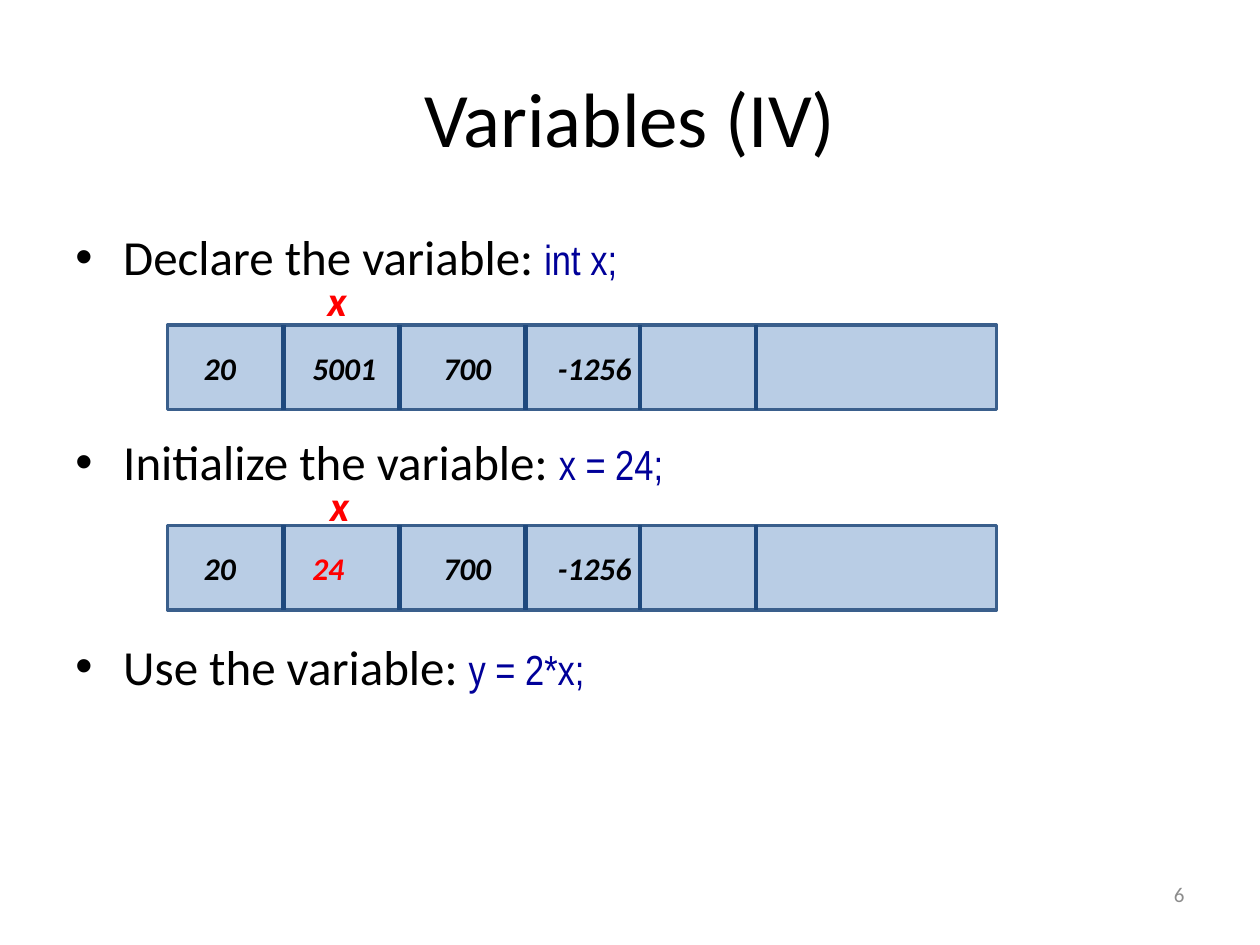
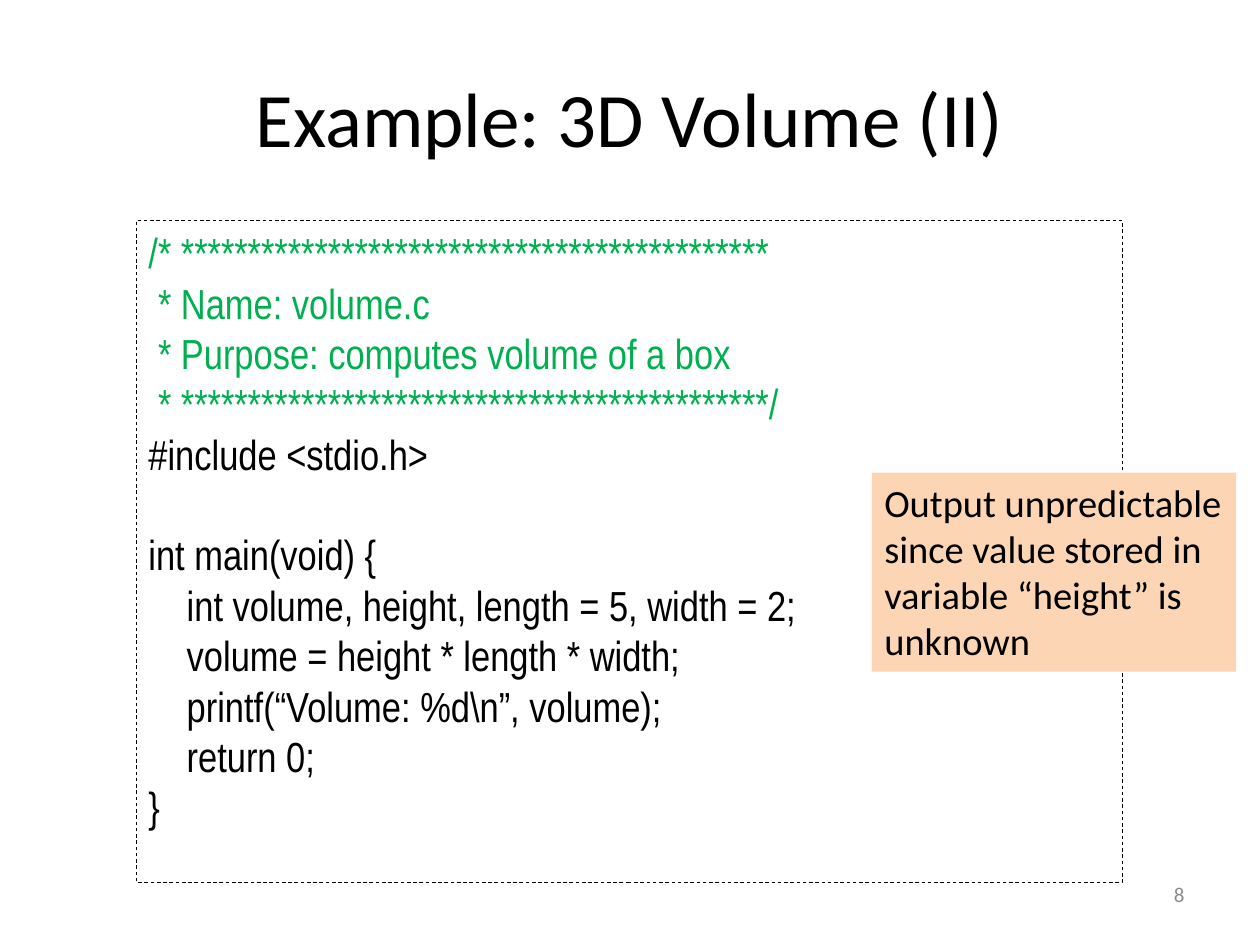
from lxml import etree
from pptx import Presentation
from pptx.dml.color import RGBColor
from pptx.enum.dml import MSO_LINE
from pptx.enum.shapes import MSO_CONNECTOR, MSO_SHAPE
from pptx.enum.text import MSO_ANCHOR, PP_ALIGN
from pptx.oxml.ns import qn
from pptx.util import Inches, Pt

RECT, LINE = MSO_SHAPE.RECTANGLE, MSO_CONNECTOR.STRAIGHT
LEFT, CENTER, RIGHT = PP_ALIGN.LEFT, PP_ALIGN.CENTER, PP_ALIGN.RIGHT
TOP, MIDDLE = MSO_ANCHOR.TOP, MSO_ANCHOR.MIDDLE
DASH = MSO_LINE.DASH
BODY, CODE = "Calibri", "Arial Narrow"
COLORS = {
    "text": "000000", "code": "000099", "note": "00B050", "mark": "FF0000",
    "page": "8C8C8C", "bar": "B9CDE5", "edge": "3A5F8C", "split": "1F497D",
    "call": "FCD5B5",
}


def color(name):
    return RGBColor.from_string(COLORS[name])


def write(frame, text, size=18, font=BODY, tint="text", bold=False,
          align=LEFT, anchor=TOP, gap=0, bullet=False, more=False):
    """Write one paragraph; text is a string or a list of (string, format)."""
    frame.word_wrap = True
    frame.vertical_anchor = anchor
    para = frame.add_paragraph() if more else frame.paragraphs[0]
    para.alignment = align
    para.space_before = Pt(gap)
    if bullet:
        props = para._p.get_or_add_pPr()
        props.set("marL", str(Inches(0.38)))
        props.set("indent", str(-Inches(0.38)))
        etree.SubElement(props, qn("a:buFont"), typeface="Arial")
        etree.SubElement(props, qn("a:buChar"), char="•")
    base = {"size": size, "font": font, "tint": tint}
    for words, change in [(text, {})] if isinstance(text, str) else text:
        look = base | change
        run = para.add_run()
        run.text = words
        run.font.size = Pt(look["size"])
        run.font.name = look["font"]
        run.font.color.rgb = color(look["tint"])
        run.font.bold = run.font.italic = bold


def add_text(slide, box, text, **look):
    frame = slide.shapes.add_textbox(*map(Inches, box)).text_frame
    write(frame, text, **look)
    return frame


def add_rect(slide, box, fill=None, edge=None, width=1):
    rect = slide.shapes.add_shape(RECT, *map(Inches, box))
    rect.shadow.inherit = False
    if fill:
        rect.fill.solid()
        rect.fill.fore_color.rgb = color(fill)
    else:
        rect.fill.background()
    if edge:
        rect.line.color.rgb = color(edge)
        rect.line.width = Pt(width)
    else:
        rect.line.fill.background()
    return rect


def add_slide(deck, title, page):
    """Title and page number, shared by all slides."""
    slide = deck.slides.add_slide(deck.slide_layouts[5])
    head = slide.shapes.title
    head.left, head.top, head.width, head.height = map(
        Inches, (0.5, 0.3, 9, 1.25))
    write(head.text_frame, title, size=44, align=CENTER, anchor=MIDDLE)
    add_text(slide, (8.58, 6.9, 0.92, 0.4), page, size=12, tint="page",
             align=RIGHT, anchor=MIDDLE)
    return slide


def add_steps(slide, box, steps):
    """Bullets, each ending in a piece of code."""
    frame = slide.shapes.add_textbox(*map(Inches, box)).text_frame
    snip = {"size": 24, "font": CODE, "tint": "code"}
    for i, (words, code) in enumerate(steps):
        write(frame, [(words + " ", {}), (code, snip)], size=28, bullet=True,
              more=i > 0, gap=83.5 if i else 0)


def add_memory(slide, box, second, tint, label):
    """Strip of memory cells, with the label x over the second cell."""
    left, top, _, high = box
    add_rect(slide, box, "bar", "edge", 2)
    for x in (0.92, 1.84, 2.84, 3.75, 4.67):
        split = slide.shapes.add_connector(
            LINE, Inches(left + x), Inches(top),
            Inches(left + x), Inches(top + high))
        split.line.color.rgb = color("split")
        split.line.width = Pt(2.5)
        etree.SubElement(split._element.spPr, qn("a:effectLst"))
    cells = [(0.19, "20", "text"), (1.05, second, tint),
             (2.09, "700", "text"), (3, "-1256", "text")]
    for x, value, shade in cells:
        add_text(slide, (left + x, top + 0.14, 0.92, 0.4), value,
                 tint=shade, bold=True)
    x, y = label
    add_text(slide, (left + x, top + y, 0.67, 0.5), "x", size=24,
             tint="mark", bold=True)


def add_code(slide, box, note, parts):
    """Dashed frame with a leading comment and blocks of code."""
    pane = add_rect(slide, box, edge="text", width=0.5)
    pane.line.dash_style = DASH
    for b, block in enumerate([note + parts[0], *parts[1:]]):
        for i, line in enumerate(block):
            write(pane.text_frame, line, size=24, font=CODE,
                  tint="note" if line in note else "text",
                  more=b + i > 0, gap=28.7 if b and not i else 0)


def add_call(slide, box, text):
    write(add_rect(slide, box, "call").text_frame, text, size=22)


def main():
    deck = Presentation()
    deck.slide_width, deck.slide_height = Inches(10), Inches(7.5)

    # Life of a variable
    slide = add_slide(deck, "Variables (IV)", "6")
    add_steps(slide, (0.5, 1.75, 8.5, 4.95), [
        ("Declare the variable:", "int x;"),
        ("Initialize the variable:", "x = 24;"),
        ("Use the variable:", "y = 2*x;"),
    ])
    add_memory(slide, (1.33, 2.58, 6.58, 0.67), "5001", "text", (1.17, -0.45))
    add_memory(slide, (1.33, 4.17, 6.58, 0.67), "24", "mark", (1.19, -0.41))

    # Sample program
    slide = add_slide(deck, "Example: 3D Volume (II)", "8")
    stars = "*" * 44
    note = [
        f"/* {stars}",
        " * Name: volume.c",
        " * Purpose: computes volume of a box",
        f" * {stars}/",
    ]
    main_part = [
        "int main(void) {",
        "    int volume, height, length = 5, width = 2;",
        "    volume = height * length * width;",
        r"    printf(“Volume: %d\n”, volume);",
        "    return 0;",
        "}",
    ]
    add_code(slide, (1.08, 1.75, 7.83, 5.25), note,
             [["#include <stdio.h>"], main_part])
    add_call(slide, (6.92, 3.75, 2.89, 1.58),
             "Output unpredictable since value stored in "
             "variable “height” is unknown")

    deck.save("out.pptx")


if __name__ == "__main__":
    main()
